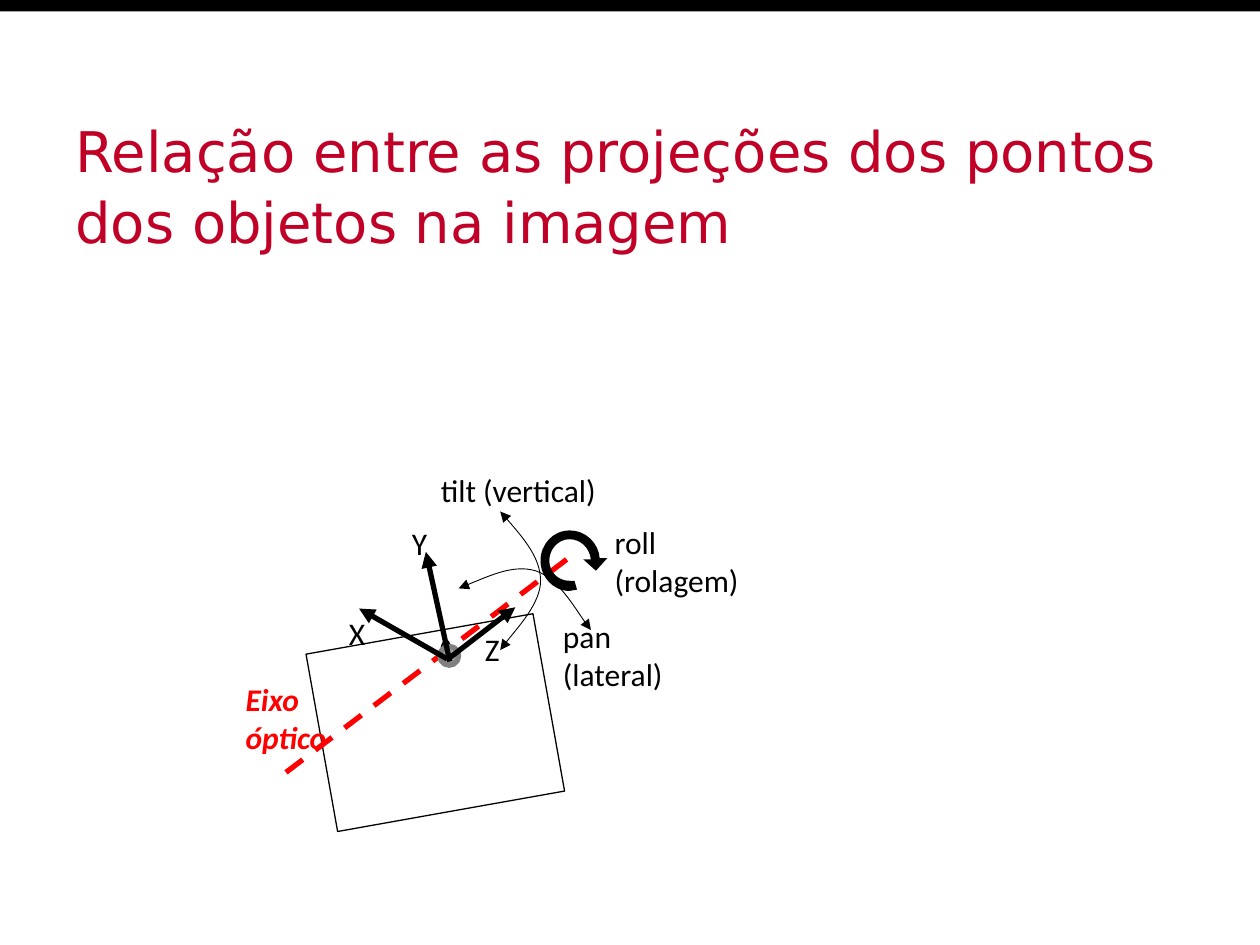
"""Build a slide on camera axes and the pan, tilt and roll rotations."""
from lxml import etree
from pptx import Presentation
from pptx import util as u
from pptx.dml.color import RGBColor
from pptx.enum import dml, shapes, text
from pptx.oxml import ns

BLACK = RGBColor(0, 0, 0)
CRIMSON = RGBColor(0xC0, 0x00, 0x26)
RED = RGBColor(0xFF, 0, 0)
LIGHT_GREY = RGBColor(0xA6, 0xA6, 0xA6)
GREY = RGBColor(0x80, 0x80, 0x80)

TITLE = "Relação entre as projeções dos pontos dos objetos na imagem"
TITLE_FONT = {"name": "DejaVu Sans", "size": u.Pt(32), "color": CRIMSON}
LABEL_FONT = {"name": "Calibri", "size": u.Pt(18), "color": BLACK}
OPTICAL_FONT = LABEL_FONT | {"color": RED, "bold": True, "italic": True}

LABELS = [
    ("tilt (vertical)", (3.4, 3.69, 1.52, 0.4)),
    ("pan (lateral)", (4.37, 4.85, 1.1, 0.7)),
    ("roll (rolagem)", (4.78, 4.1, 1.42, 0.7)),
    ("Y", (3.17, 4.11, 0.82, 0.51)),
    ("X", (2.67, 4.82, 0.82, 0.51)),
    ("Z", (3.75, 4.95, 0.82, 0.4)),
]
OPTICAL_LABEL = ("Eixo\nóptico", (1.85, 5.35, 0.85, 0.71))

TOP_BAR = (0, 0, 10, 0.09)
IMAGE_PLANE = (2.54, 5.02, 1.83, 1.43)
LENS = (3.5, 5.08, 0.08, 0.16)
OPTICAL_CENTRE = (3.49, 5.13, 0.15, 0.15)
OPTICAL_AXIS = ((2.27, 6.13), (4.55, 4.4))
CAMERA_AXES = [
    ((3.57, 5.25), (3.38, 4.38)),
    ((3.57, 5.22), (4.09, 4.82)),
    ((3.55, 5.23), (2.85, 4.83)),
]

TILT_ARC = ((3.97, 4.06), [
    [(4.13, 4.24), (4.29, 4.43), (4.29, 4.61)],
    [(4.29, 4.79), (4.03, 5.07), (3.97, 5.16)],
])
PAN_ARC = ((3.64, 4.67), [
    [(3.86, 4.58), (4.08, 4.48), (4.25, 4.53)],
    [(4.43, 4.59), (4.62, 4.92), (4.69, 5)],
])
ROLL_ARROW = ((4.69, 4.44), [
    [(4.68, 4.35), (4.61, 4.28), (4.52, 4.28)],
    [(4.43, 4.28), (4.36, 4.36), (4.36, 4.45)],
    [(4.36, 4.54), (4.43, 4.61), (4.52, 4.61)],
    [(4.54, 4.61), (4.55, 4.61), (4.56, 4.61)],
    [(4.58, 4.68)],
    [(4.56, 4.68), (4.54, 4.69), (4.52, 4.69)],
    [(4.39, 4.69), (4.29, 4.58), (4.29, 4.45)],
    [(4.29, 4.32), (4.39, 4.21), (4.52, 4.21)],
    [(4.65, 4.21), (4.75, 4.31), (4.76, 4.43)],
    [(4.82, 4.43)], [(4.73, 4.53)], [(4.63, 4.44)], [(4.69, 4.44)],
])


def inches(values):
    return [u.Inches(value) for value in values]


def paint(part, fill=None, line=None, width=0.5):
    part.shadow.inherit = False
    if fill is None:
        part.fill.background()
    else:
        part.fill.solid()
        part.fill.fore_color.rgb = fill
    if line is None:
        part.line.fill.background()
    else:
        part.line.color.rgb = line
        part.line.width = u.Pt(width)


def add_arrowheads(part, *ends):
    outline = part.line._get_or_add_ln()
    for end in ends:
        etree.SubElement(outline, ns.qn(f"a:{end}"), type="triangle")


def add_preset(slide, kind, box, **style):
    preset = slide.shapes.add_shape(kind, *inches(box))
    paint(preset, **style)
    return preset


def add_outline(slide, start, segments, close=False, **style):
    builder = slide.shapes.build_freeform(*inches(start), scale=1.0)
    points = [inches(point) for segment in segments for point in segment]
    builder.add_line_segments(points, close=close)
    outline = builder.convert_to_shape()
    steps = iter(list(outline.element.iter(ns.qn("a:lnTo"))))
    for segment in segments:
        first, *others = [next(steps) for _ in segment]
        if others:
            first.tag = ns.qn("a:cubicBezTo")
            for step in others:
                first.append(step[0])
                step.getparent().remove(step)
    paint(outline, **style)
    return outline


def add_line(slide, start, end, color):
    line = slide.shapes.add_connector(
        shapes.MSO_CONNECTOR.STRAIGHT, *inches(start + end))
    line.line.color.rgb = color
    line.line.width = u.Pt(3)
    etree.SubElement(line.element.spPr, ns.qn("a:effectLst"))
    return line


def add_text(slide, words, box, font, wrap=True, spacing=1.0):
    frame = slide.shapes.add_textbox(*inches(box)).text_frame
    frame.word_wrap = wrap
    frame.vertical_anchor = text.MSO_ANCHOR.TOP
    frame.text = words
    for paragraph in frame.paragraphs:
        paragraph.line_spacing = spacing
        for run in paragraph.runs:
            for name, value in font.items():
                if name == "color":
                    run.font.color.rgb = value
                else:
                    setattr(run.font, name, value)


def main():
    deck = Presentation()
    deck.slide_width, deck.slide_height = inches((10, 7.5))
    slide = deck.slides.add_slide(deck.slide_layouts[6])
    rectangle, oval = shapes.MSO_SHAPE.RECTANGLE, shapes.MSO_SHAPE.OVAL

    add_preset(slide, rectangle, TOP_BAR, fill=BLACK)
    add_text(slide, TITLE, (0.5, 0.85, 9, 0.68), TITLE_FONT, spacing=1.05)
    plane = add_preset(slide, rectangle, IMAGE_PLANE, line=BLACK, width=0.75)
    plane.rotation = 349.9

    for (start, segments), angle in ((TILT_ARC, 0), (PAN_ARC, 0)):
        arc = add_outline(slide, start, segments, line=BLACK)
        arc.rotation = angle
        add_arrowheads(arc, "headEnd", "tailEnd")

    optical_axis = add_line(slide, *OPTICAL_AXIS, RED)
    optical_axis.line.dash_style = dml.MSO_LINE.DASH
    add_preset(slide, oval, LENS, fill=BLACK, line=BLACK)
    add_outline(slide, *ROLL_ARROW, close=True, fill=BLACK)
    add_preset(slide, oval, OPTICAL_CENTRE, fill=LIGHT_GREY, line=GREY, width=3)
    for start, end in CAMERA_AXES:
        add_arrowheads(add_line(slide, start, end, BLACK), "tailEnd")

    for words, box in LABELS:
        add_text(slide, words, box, LABEL_FONT)
    add_text(slide, *OPTICAL_LABEL, OPTICAL_FONT, wrap=False)
    deck.save("out.pptx")


if __name__ == "__main__":
    main()
